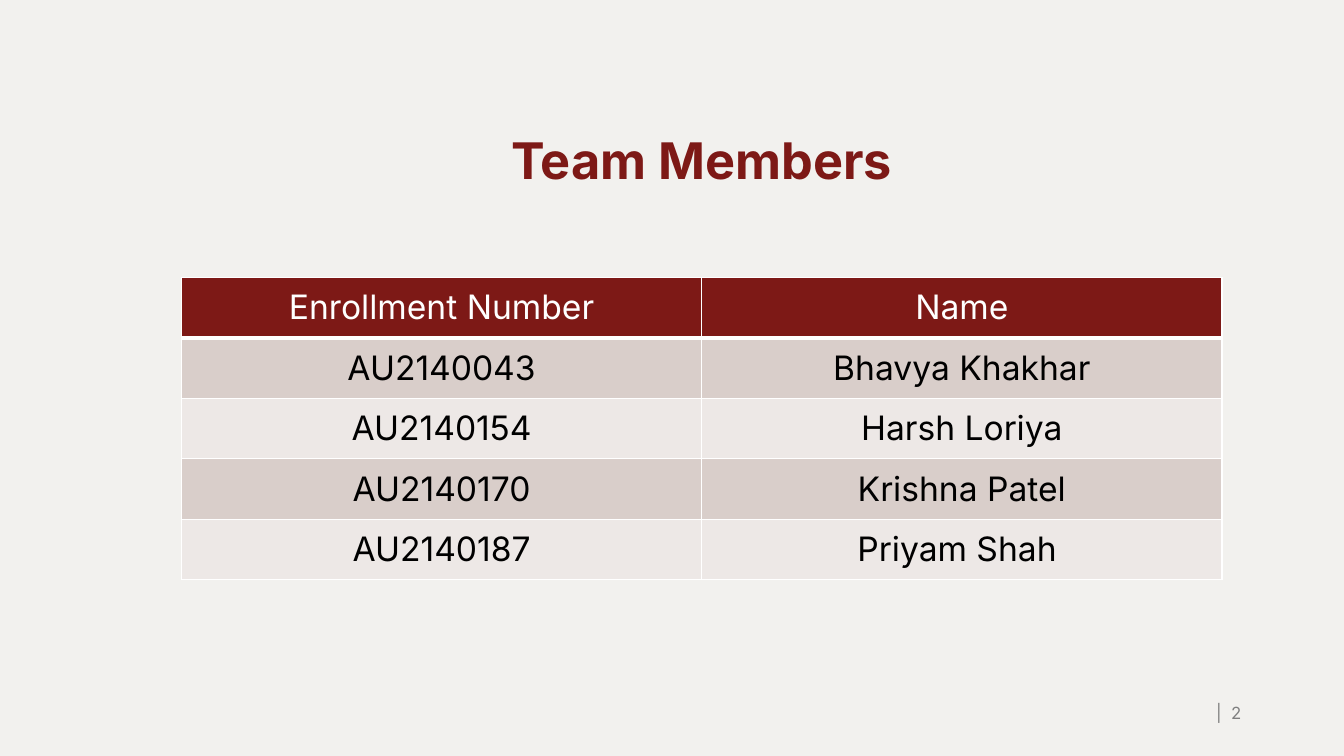
from dataclasses import dataclass

from lxml.etree import SubElement
from pptx import Presentation
from pptx.dml.color import RGBColor
from pptx.enum.text import MSO_ANCHOR, PP_ALIGN
from pptx.oxml.ns import qn
from pptx.util import Inches, Pt

SLIDE_WIDTH, SLIDE_HEIGHT = 13.33, 7.5
CONTENT_LEFT, CONTENT_WIDTH = 1.8 / SLIDE_WIDTH, 10.32 / SLIDE_WIDTH
ROW_SHARE = 0.08
MEMBERS = [
    ("Enrollment Number", "Name"),
    ("AU2140043", "Bhavya Khakhar"),
    ("AU2140154", "Harsh Loriya"),
    ("AU2140170", "Krishna Patel"),
    ("AU2140187", "Priyam Shah "),
]


@dataclass(frozen=True)
class Theme:
    """Colours, font and type sizes of the slide."""
    font: str = "Inter"
    background: str = "F2F1EE"
    accent: str = "7D1916"
    bands: tuple = ("D9CECA", "EDE8E6")
    border: str = "FFFFFF"
    header_text: str = "FFFFFF"
    body_text: str = "000000"
    muted: str = "7F7F7F"
    title_size: int = 36
    table_size: int = 24
    number_size: int = 12


THEME = Theme()


def share_box(left, top, width, height):
    """Turn shares of the slide into a dict of lengths."""
    return {
        "left": Inches(left * SLIDE_WIDTH),
        "top": Inches(top * SLIDE_HEIGHT),
        "width": Inches(width * SLIDE_WIDTH),
        "height": Inches(height * SLIDE_HEIGHT),
    }


def write_text(text_frame, text, size, color, alignment=PP_ALIGN.CENTER, bold=False):
    """Write one formatted paragraph and return it."""
    paragraph = text_frame.paragraphs[0]
    paragraph.alignment = alignment
    run = paragraph.add_run()
    run.text = text
    formats = {"name": THEME.font, "size": Pt(size), "bold": bold}
    for attribute, value in formats.items():
        setattr(run.font, attribute, value)
    run.font.color.rgb = RGBColor.from_string(color)
    return paragraph


def add_title(slide, text, box):
    """Place and format the title placeholder."""
    title = slide.shapes.title
    for attribute, value in box.items():
        setattr(title, attribute, value)
    title.text_frame.vertical_anchor = MSO_ANCHOR.MIDDLE
    paragraph = write_text(title.text_frame, text, THEME.title_size, THEME.accent, bold=True)
    paragraph.line_spacing = 0.9


def add_page_number(slide, text, box):
    """Add the page number with its bar."""
    text_frame = slide.shapes.add_textbox(**box).text_frame
    text_frame.word_wrap = True
    text_frame.vertical_anchor = MSO_ANCHOR.MIDDLE
    write_text(text_frame, text, THEME.number_size, THEME.muted, PP_ALIGN.RIGHT)


def set_borders(cell, widths):
    """Draw cell borders from a dict of sides and point widths, ahead of the fill."""
    properties = cell._tc.get_or_add_tcPr()
    for side, width in widths.items():
        line = SubElement(properties, qn(f"a:ln{side}"), w=str(Pt(width)))
        fill = SubElement(line, qn("a:solidFill"))
        SubElement(fill, qn("a:srgbClr"), val=THEME.border)


def format_cell(cell, text, row):
    """Fill one table cell with its text, borders and band colour."""
    is_header = row == 0
    cell.vertical_anchor = MSO_ANCHOR.MIDDLE
    color = THEME.header_text if is_header else THEME.body_text
    write_text(cell.text_frame, text, THEME.table_size, color)
    set_borders(cell, {"L": 1, "R": 1, "T": 3 if row == 1 else 1, "B": 3 if is_header else 1})
    cell.fill.solid()
    band = THEME.accent if is_header else THEME.bands[(row - 1) % 2]
    cell.fill.fore_color.rgb = RGBColor.from_string(band)


def add_member_table(slide, members, box):
    """Add the table of members with equal rows and columns."""
    table = slide.shapes.add_table(len(members), len(members[0]), **box).table
    for row, values in enumerate(members):
        for column, text in enumerate(values):
            format_cell(table.cell(row, column), text, row)


def main():
    """Build and save the team slide."""
    presentation = Presentation()
    presentation.slide_width = Inches(SLIDE_WIDTH)
    presentation.slide_height = Inches(SLIDE_HEIGHT)
    slide = presentation.slides.add_slide(presentation.slide_layouts[5])
    slide.background.fill.solid()
    slide.background.fill.fore_color.rgb = RGBColor.from_string(THEME.background)

    add_title(slide, "Team Members", share_box(CONTENT_LEFT, 0.153, CONTENT_WIDTH, 0.127))
    add_page_number(slide, "|  2", share_box(0.886, 0.916, 0.045, 0.055))
    table_box = share_box(CONTENT_LEFT, 0.367, CONTENT_WIDTH, ROW_SHARE * len(MEMBERS))
    add_member_table(slide, MEMBERS, table_box)
    presentation.save("out.pptx")


if __name__ == "__main__":
    main()
